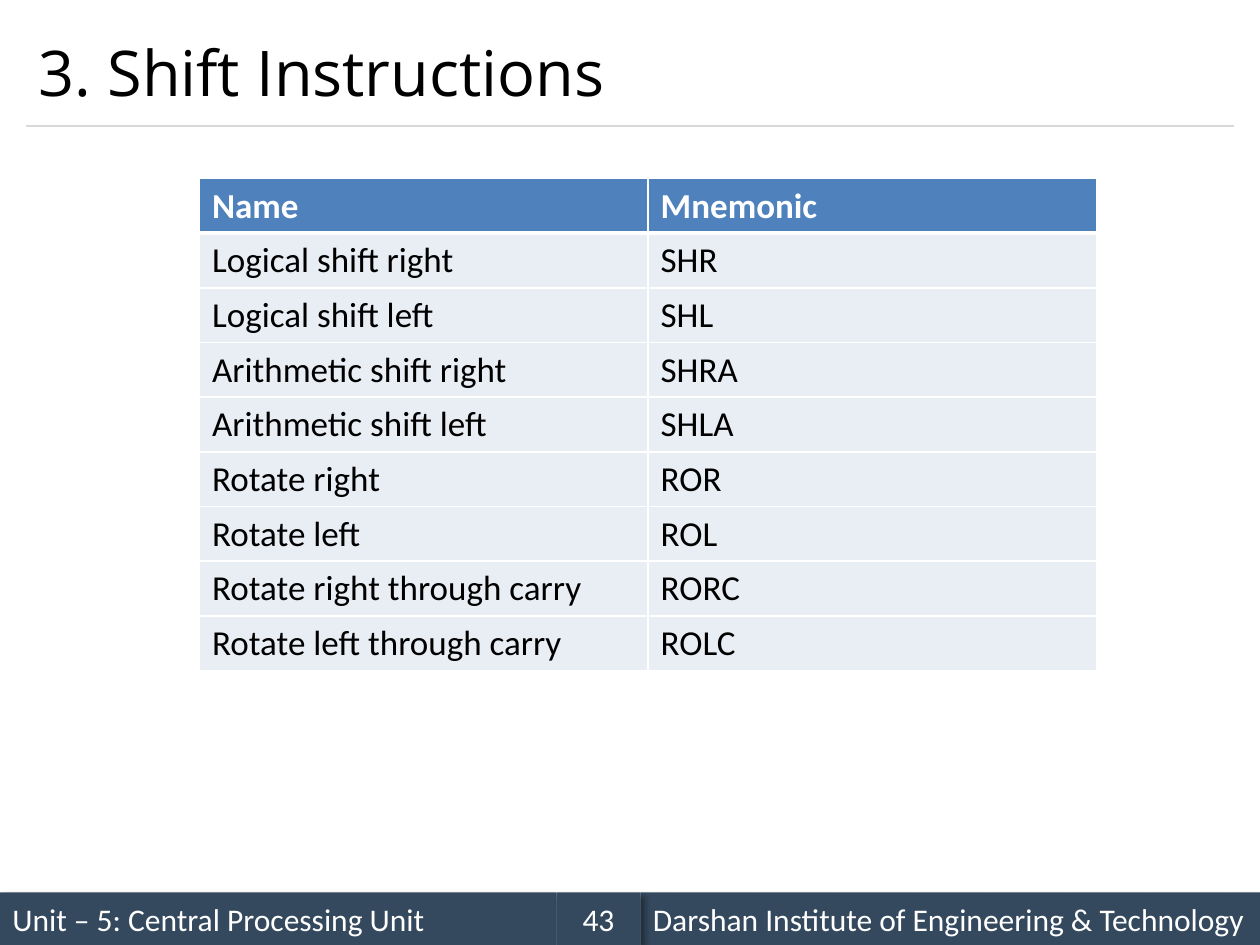
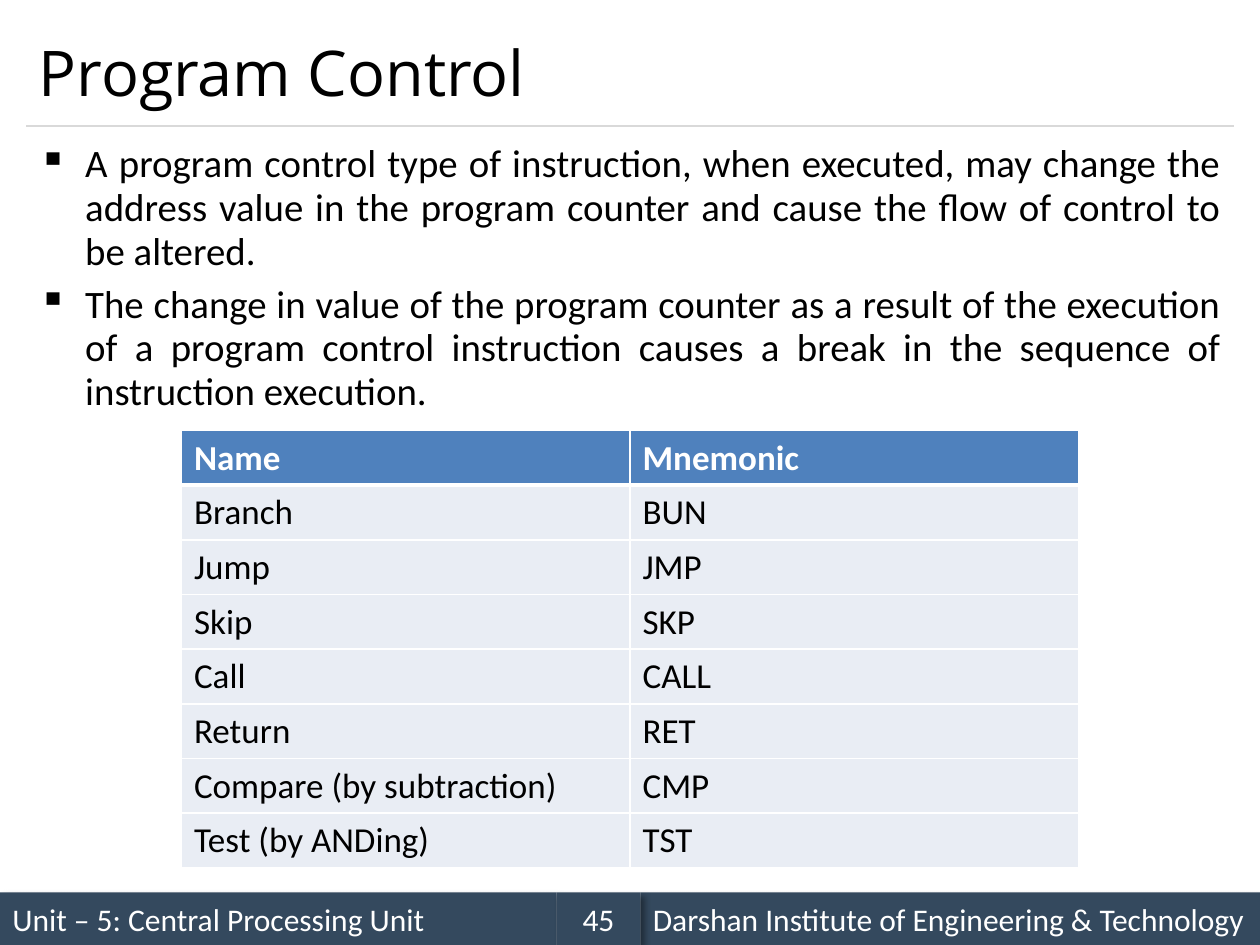
from dataclasses import dataclass

from lxml.etree import SubElement
from pptx import Presentation
from pptx.dml.color import RGBColor
from pptx.enum.shapes import MSO_CONNECTOR, MSO_SHAPE
from pptx.enum.text import MSO_ANCHOR, PP_ALIGN
from pptx.oxml.ns import qn
from pptx.util import Inches, Pt

COLORS = {
    "band": "34495E",
    "rule": "D9D9D9",
    "header": "4F81BD",
    "row": "E9EDF4",
    "text": "000000",
    "light": "FFFFFF",
}
TITLE_FONT, BODY_FONT = "Open Sans", "Calibri"

# The slide is a grid of 120 columns and 90 rows
COLUMNS, ROWS = 120, 90
SLIDE_WIDTH, SLIDE_HEIGHT = Inches(10), Inches(7.5)
MARGIN = 2.5
FOOTER_TOP, FOOTER_HEIGHT = 85, 5
TABLE_COLUMN, TABLE_ROW = 42.72, 5.2
BULLET_INDENT = Inches(0.37)


@dataclass(frozen=True)
class Area:
    column: float
    row: float
    columns: float
    rows: float

    def box(self) -> tuple[int, int, int, int]:
        return (across(self.column), down(self.row),
                across(self.columns), down(self.rows))


@dataclass(frozen=True)
class TextStyle:
    size: float
    color: str = "text"
    font: str = BODY_FONT
    bold: bool = False


@dataclass(frozen=True)
class FooterBand:
    text: str
    start: float
    end: float
    align: PP_ALIGN = PP_ALIGN.LEFT


@dataclass(frozen=True)
class MnemonicSlide:
    title: str
    number: int
    table_column: float
    table_row: float
    instructions: tuple[tuple[str, str], ...]
    bullets: tuple[str, ...] = ()


TITLE_STYLE = TextStyle(36, font=TITLE_FONT)
BULLET_STYLE = TextStyle(22.2)
FOOTER_STYLE = TextStyle(18, "light")
HEADER_STYLE = TextStyle(20, "light", bold=True)
CELL_STYLE = TextStyle(20)

SLIDES = (
    MnemonicSlide("3. Shift Instructions", 43, 19, 17, (
        ("Logical shift right", "SHR"),
        ("Logical shift left", "SHL"),
        ("Arithmetic shift right", "SHRA"),
        ("Arithmetic shift left", "SHLA"),
        ("Rotate right", "ROR"),
        ("Rotate left", "ROL"),
        ("Rotate right through carry", "RORC"),
        ("Rotate left through carry", "ROLC"),
    )),
    MnemonicSlide("Program Control", 45, COLUMNS / 2 - TABLE_COLUMN, 41, (
        ("Branch", "BUN"),
        ("Jump", "JMP"),
        ("Skip", "SKP"),
        ("Call", "CALL"),
        ("Return", "RET"),
        ("Compare (by subtraction)", "CMP"),
        ("Test (by ANDing)", "TST"),
    ), (
        "A program control type of instruction, when executed, may change the "
        "address value in the program counter and cause the flow of control "
        "to be altered.",
        "The change in value of the program counter as a result of the "
        "execution of a program control instruction causes a break in the "
        "sequence of instruction execution.",
    )),
)


def across(columns: float) -> int:
    return round(SLIDE_WIDTH * columns / COLUMNS)


def down(rows: float) -> int:
    return round(SLIDE_HEIGHT * rows / ROWS)


def rgb(name: str) -> RGBColor:
    return RGBColor.from_string(COLORS[name])


def add_run(paragraph, text: str, style: TextStyle) -> None:
    run = paragraph.add_run()
    run.text = text
    run.font.name = style.font
    run.font.size = Pt(style.size)
    run.font.bold = style.bold
    run.font.color.rgb = rgb(style.color)


def add_text_frame(slide, area: Area, anchor: MSO_ANCHOR):
    frame = slide.shapes.add_textbox(*area.box()).text_frame
    frame.word_wrap = True
    frame.vertical_anchor = anchor
    return frame


def add_soft_shadow(shape) -> None:
    effects = SubElement(shape._element.spPr, qn("a:effectLst"))
    shadow = SubElement(effects, qn("a:outerShdw"), blurRad=str(Pt(4)),
                        dist=str(Pt(3)), dir="2700000", algn="tl", rotWithShape="0")
    color = SubElement(shadow, qn("a:srgbClr"), val=COLORS["text"])
    SubElement(color, qn("a:alpha"), val="40000")


def add_footer_band(slide, band: FooterBand) -> None:
    area = Area(band.start, FOOTER_TOP, band.end - band.start, FOOTER_HEIGHT)
    shape = slide.shapes.add_shape(MSO_SHAPE.RECTANGLE, *area.box())
    shape.fill.solid()
    shape.fill.fore_color.rgb = rgb("band")
    shape.line.fill.background()
    add_soft_shadow(shape)
    shape.text_frame.word_wrap = True
    shape.text_frame.vertical_anchor = MSO_ANCHOR.MIDDLE
    paragraph = shape.text_frame.paragraphs[0]
    paragraph.alignment = band.align
    add_run(paragraph, band.text, FOOTER_STYLE)


def add_frame(slide, title: str, number: int) -> None:
    # Footer, with the page number on top of its neighbours
    for band in (
        FooterBand("Unit – 5: Central Processing Unit", 0, 53),
        FooterBand("Darshan Institute of Engineering & Technology", 61, COLUMNS),
        FooterBand(str(number), 53, 61, PP_ALIGN.CENTER),
    ):
        add_footer_band(slide, band)

    # Rule below the title
    rule = slide.shapes.add_connector(
        MSO_CONNECTOR.STRAIGHT, across(MARGIN), down(12),
        across(COLUMNS - MARGIN), down(12))
    rule.line.color.rgb = rgb("rule")
    rule.line.width = Pt(0.75)
    SubElement(rule._element.spPr, qn("a:effectLst"))

    # Title
    area = Area(MARGIN, 1.5, COLUMNS - 2 * MARGIN, 10.5)
    frame = add_text_frame(slide, area, MSO_ANCHOR.MIDDLE)
    add_run(frame.paragraphs[0], title, TITLE_STYLE)


def add_bullets(slide, bullets: tuple[str, ...]) -> None:
    area = Area(MARGIN, 13, COLUMNS - 2 * MARGIN, 28)
    frame = add_text_frame(slide, area, MSO_ANCHOR.TOP)
    for index, text in enumerate(bullets):
        paragraph = frame.add_paragraph() if index else frame.paragraphs[0]
        paragraph.alignment = PP_ALIGN.JUSTIFY
        paragraph.line_spacing = 0.94
        if index:
            paragraph.space_before = Pt(5)
        properties = paragraph._p.get_or_add_pPr()
        properties.set("marL", str(BULLET_INDENT))
        properties.set("indent", str(-BULLET_INDENT))
        SubElement(properties, qn("a:buChar"), char="▪")
        add_run(paragraph, text, BULLET_STYLE)


def set_borders(cell, top: float, bottom: float) -> None:
    properties = cell._tc.get_or_add_tcPr()
    for side, width in (("L", 1), ("R", 1), ("T", top), ("B", bottom)):
        line = SubElement(properties, qn(f"a:ln{side}"), w=str(Pt(width)))
        fill = SubElement(line, qn("a:solidFill"))
        SubElement(fill, qn("a:srgbClr"), val=COLORS["light"])


def add_mnemonic_table(slide, content: MnemonicSlide) -> None:
    lines = (("Name", "Mnemonic"), *content.instructions)
    area = Area(content.table_column, content.table_row,
                2 * TABLE_COLUMN, len(lines) * TABLE_ROW)
    table = slide.shapes.add_table(len(lines), 2, *area.box()).table
    table.horz_banding = False
    for row, line in enumerate(lines):
        is_header = row == 0
        for column, text in enumerate(line):
            cell = table.cell(row, column)
            set_borders(cell, top=3 if row == 1 else 1, bottom=3 if is_header else 1)
            cell.fill.solid()
            cell.fill.fore_color.rgb = rgb("header" if is_header else "row")
            add_run(cell.text_frame.paragraphs[0], text,
                    HEADER_STYLE if is_header else CELL_STYLE)


def main() -> None:
    presentation = Presentation()
    presentation.slide_width, presentation.slide_height = SLIDE_WIDTH, SLIDE_HEIGHT
    blank_layout = presentation.slide_layouts[6]
    for content in SLIDES:
        slide = presentation.slides.add_slide(blank_layout)
        add_frame(slide, content.title, content.number)
        if content.bullets:
            add_bullets(slide, content.bullets)
        add_mnemonic_table(slide, content)
    presentation.save("out.pptx")


if __name__ == "__main__":
    main()
